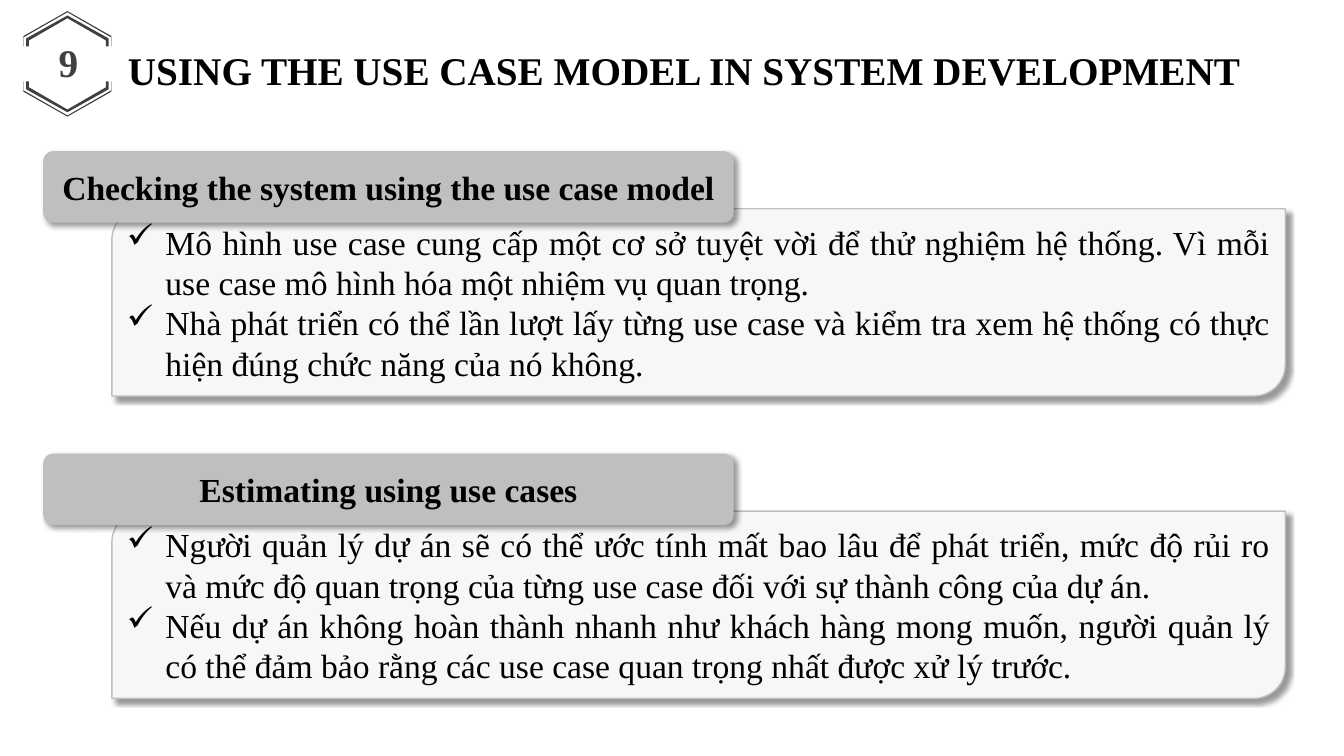
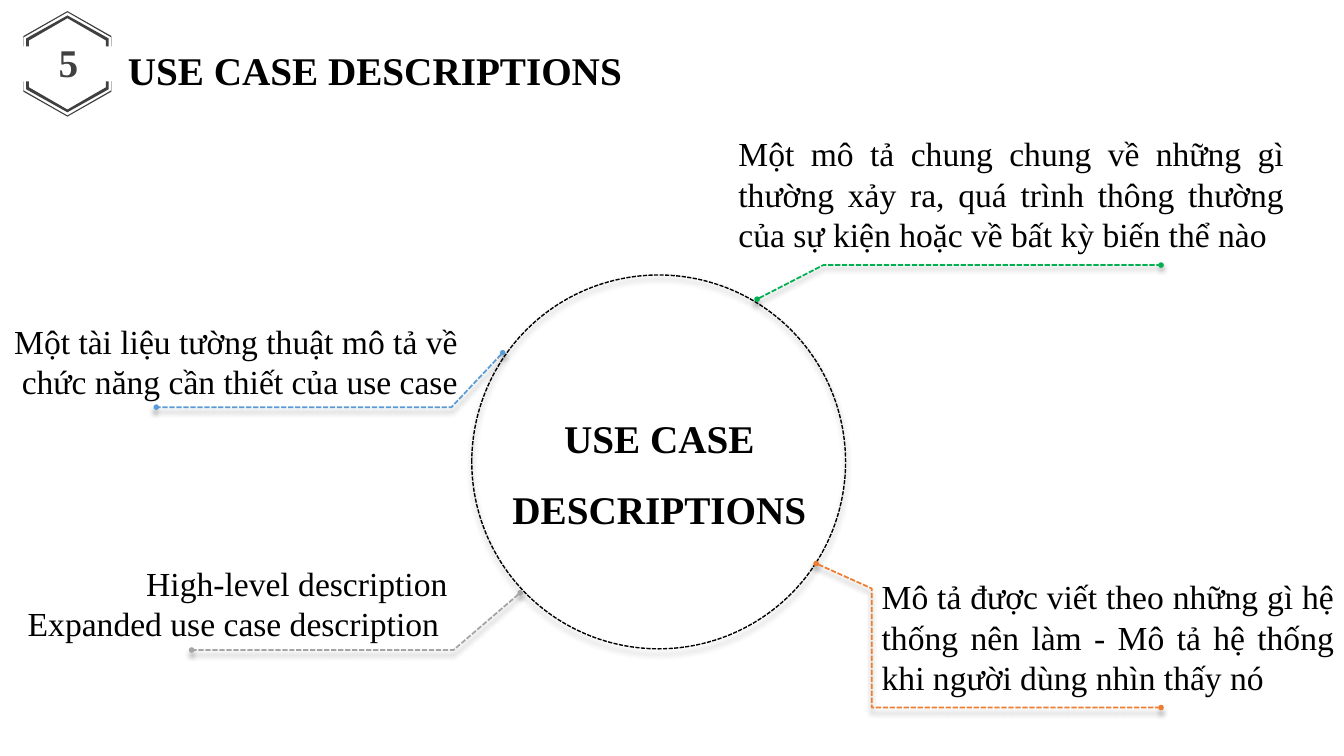
"""Build two slides on use case models and use case descriptions."""
from dataclasses import dataclass

import pptx
import pptx.dml.color
import pptx.enum.dml
import pptx.enum.shapes
import pptx.enum.text
import pptx.oxml
import pptx.oxml.ns
import pptx.util
from pptx.util import Cm

COLORS = {
    "text": "000000",
    "badge": "404040",
    "tab": "BFBFBF",
    "panel": "F7F7F7",
    "green": "00B050",
    "orange": "ED7D31",
    "grey": "A5A5A5",
    "blue": "5B9BD5",
}
FONT = "Times New Roman"
HEADING_SIZE = 28
BODY_SIZE = 24
TITLE_ONLY = 5
BADGE_CENTER = (1.7, 1.61)
SECTION_TOP = 3.81
SECTION_PITCH = 7.62
ALIGN = pptx.enum.text.PP_ALIGN
ANCHOR = pptx.enum.text.MSO_ANCHOR
SHAPE = pptx.enum.shapes.MSO_SHAPE

Point = tuple[float, float]


@dataclass(frozen=True)
class Box:
    left: float
    top: float
    width: float
    height: float

    def lengths(self) -> tuple[Cm, Cm, Cm, Cm]:
        return Cm(self.left), Cm(self.top), Cm(self.width), Cm(self.height)


@dataclass(frozen=True)
class Chevron:
    half_width: float
    apex: float
    shoulder: float


@dataclass(frozen=True)
class Section:
    heading: str
    bullets: tuple[str, ...]


@dataclass(frozen=True)
class Callout:
    color: str
    points: tuple[Point, ...]
    box: Box
    alignment: ALIGN
    lines: tuple[str, ...]


BADGE_BANDS = (
    (Chevron(1.11, 0.28, 0.91), Chevron(1.1, 0.31, 0.94)),
    (Chevron(1.04, 0.39, 0.97), Chevron(0.97, 0.46, 1.02)),
)
BADGE_FOOT = 1.17

SECTIONS = (
    Section("Checking the system using the use case model", (
        "Mô hình use case cung cấp một cơ sở tuyệt vời để thử nghiệm hệ thống. "
        "Vì mỗi use case mô hình hóa một nhiệm vụ quan trọng.",
        "Nhà phát triển có thể lần lượt lấy từng use case và kiểm tra xem hệ thống "
        "có thực hiện đúng chức năng của nó không.",
    )),
    Section("Estimating using use cases", (
        "Người quản lý dự án sẽ có thể ước tính mất bao lâu để phát triển, mức độ "
        "rủi ro và mức độ quan trọng của từng use case đối với sự thành công của dự án.",
        "Nếu dự án không hoàn thành nhanh như khách hàng mong muốn, người quản lý "
        "có thể đảm bảo rằng các use case quan trọng nhất được xử lý trước.",
    )),
)

CALLOUTS = (
    Callout("green", ((19.08, 7.54), (20.75, 6.68), (29.26, 6.68)),
            Box(18.36, 3.23, 14.25, 3.33), ALIGN.JUSTIFY,
            ("Một mô tả chung chung về những gì thường xảy ra, quá trình thông "
             "thường của sự kiện hoặc về bất kỳ biến thể nào",)),
    Callout("orange", ((20.57, 14.2), (21.97, 14.83), (21.97, 17.83), (29.26, 17.83)),
            Box(21.97, 14.4, 11.9, 3.33), ALIGN.JUSTIFY,
            ("Mô tả được viết theo những gì hệ thống nên làm - Mô tả hệ thống "
             "khi người dùng nhìn thấy nó",)),
    Callout("grey", ((13.11, 14.94), (11.43, 16.38), (4.83, 16.38)),
            Box(0.23, 14.05, 11.3, 2.31), ALIGN.RIGHT,
            ("High-level description", "Expanded use case description ")),
    Callout("blue", ((12.67, 8.89), (11.38, 10.26), (3.94, 10.26)),
            Box(0, 7.95, 11.79, 2.31), ALIGN.RIGHT,
            ("Một tài liệu tường thuật mô tả về chức năng cần thiết của use case",)),
)


def rgb(name: str) -> pptx.dml.color.RGBColor:
    return pptx.dml.color.RGBColor.from_string(COLORS[name])


def add_xml(parent, markup: str) -> None:
    namespace = pptx.oxml.ns.nsdecls("a")
    tag, rest = markup[1:].split(" ", 1)
    parent.append(pptx.oxml.parse_xml(f"<{tag} {namespace} {rest}"))


def add_shadow(shape, degrees: int) -> None:
    shape.shadow.inherit = False
    effects = shape._element.spPr.find(pptx.oxml.ns.qn("a:effectLst"))
    add_xml(effects, f'<a:outerShdw blurRad="{pptx.util.Pt(4)}" dist="{pptx.util.Pt(3)}" '
                     f'dir="{degrees * 60000}" algn="ctr" rotWithShape="0">'
                     '<a:srgbClr val="000000"><a:alpha val="40000"/></a:srgbClr></a:outerShdw>')


def set_dashed_line(shape, color: str, width: float) -> None:
    shape.fill.background()
    shape.line.color.rgb = rgb(color)
    shape.line.width = pptx.util.Pt(width)
    shape.line.dash_style = pptx.enum.dml.MSO_LINE.SQUARE_DOT
    add_shadow(shape, 90)


def write_text(shape, lines: tuple[str, ...], size: int, alignment: ALIGN,
               anchor: ANCHOR = ANCHOR.TOP, color: str = "text", bold: bool = False,
               wrap: bool = True, line_spacing: float = 1.0, bulleted: bool = False) -> None:
    frame = shape.text_frame
    frame.auto_size = pptx.enum.text.MSO_AUTO_SIZE.NONE
    frame.word_wrap = wrap
    frame.vertical_anchor = anchor
    frame.text = "\n".join(lines)
    for paragraph in frame.paragraphs:
        paragraph.alignment = alignment
        paragraph.line_spacing = line_spacing
        if bulleted:
            properties = paragraph._p.get_or_add_pPr()
            properties.set("marL", str(Cm(0.97)))
            properties.set("indent", str(Cm(-0.97)))
            add_xml(properties, '<a:buChar char="✓"/>')
        paragraph.font.name = FONT
        paragraph.font.size = pptx.util.Pt(size)
        paragraph.font.bold = bold
        paragraph.font.color.rgb = rgb(color)


def add_outline(slide, points: list[Point], close: bool):
    corners = [(Cm(x), Cm(y)) for x, y in points]
    builder = slide.shapes.build_freeform(*corners[0])
    builder.add_line_segments(corners[1:], close=close)
    return builder.convert_to_shape()


def chevron_points(chevron: Chevron) -> list[Point]:
    center = BADGE_CENTER[0]
    left, right = center - chevron.half_width, center + chevron.half_width
    return [(left, BADGE_FOOT), (left, chevron.shoulder), (center, chevron.apex),
            (right, chevron.shoulder), (right, BADGE_FOOT)]


def add_badge(slide, number: str) -> None:
    box = slide.shapes.add_textbox(*Box(0.53, 0.74, 2.39, 1.65).lengths())
    write_text(box, (number,), HEADING_SIZE, ALIGN.CENTER, ANCHOR.MIDDLE, "badge", True)
    for outer, inner in BADGE_BANDS:
        upper = chevron_points(outer) + chevron_points(inner)[::-1]
        lower = [(x, 2 * BADGE_CENTER[1] - y) for x, y in upper]
        for points in (upper, lower):
            band = add_outline(slide, points, True)
            band.fill.solid()
            band.fill.fore_color.rgb = rgb("badge")
            band.line.fill.background()
            band.shadow.inherit = False


def add_titled_slide(presentation, number: str, title: str):
    slide = presentation.slides.add_slide(presentation.slide_layouts[TITLE_ONLY])
    shape = slide.shapes.title
    shape.left, shape.top, shape.width, shape.height = Box(2.97, 0.44, 28.93, 2.06).lengths()
    write_text(shape, (title,), HEADING_SIZE, ALIGN.LEFT, bold=True, line_spacing=1.5)
    add_badge(slide, number)
    return slide


def add_section(slide, section: Section, top: float) -> None:
    panel = slide.shapes.add_shape(SHAPE.ROUND_2_DIAG_RECTANGLE,
                                   *Box(2.82, top + 1.45, 29.57, 4.72).lengths())
    panel.fill.solid()
    panel.fill.fore_color.rgb = rgb("panel")
    panel.line.color.rgb = rgb("tab")
    panel.line.width = pptx.util.Pt(1)
    add_shadow(panel, 45)
    frame = panel.text_frame
    frame.margin_left = frame.margin_right = Cm(0.15)
    frame.margin_top = frame.margin_bottom = Cm(0.08)
    write_text(panel, section.bullets, BODY_SIZE, ALIGN.JUSTIFY, ANCHOR.MIDDLE, bulleted=True)

    tab = slide.shapes.add_shape(SHAPE.ROUNDED_RECTANGLE, *Box(1.09, top, 17.4, 1.8).lengths())
    tab.adjustments[0] = 0.14
    tab.fill.solid()
    tab.fill.fore_color.rgb = rgb("tab")
    tab.line.fill.background()
    add_shadow(tab, 45)
    write_text(tab, (section.heading,), BODY_SIZE, ALIGN.CENTER, ANCHOR.MIDDLE,
               bold=True, wrap=False)


def add_callout(slide, callout: Callout) -> None:
    leader = add_outline(slide, list(callout.points), False)
    set_dashed_line(leader, callout.color, 1.25)
    line = leader.line._get_or_add_ln()
    for end in ("headEnd", "tailEnd"):
        add_xml(line, f'<a:{end} type="oval" w="sm" len="sm"/>')
    box = slide.shapes.add_textbox(*callout.box.lengths())
    write_text(box, callout.lines, BODY_SIZE, callout.alignment)


def build_development_slide(presentation) -> None:
    slide = add_titled_slide(presentation, "9", "USING THE USE CASE MODEL IN SYSTEM DEVELOPMENT")
    for index, section in enumerate(SECTIONS):
        add_section(slide, section, SECTION_TOP + index * SECTION_PITCH)


def build_descriptions_slide(presentation) -> None:
    topic = "USE CASE DESCRIPTIONS"
    slide = add_titled_slide(presentation, "5", topic)
    circle = slide.shapes.add_shape(SHAPE.OVAL, *Box(11.89, 6.93, 9.42, 9.42).lengths())
    set_dashed_line(circle, "text", 1)
    for callout in CALLOUTS:
        add_callout(slide, callout)
    label = slide.shapes.add_textbox(*Box(12.55, 9.73, 8.13, 3.84).lengths())
    write_text(label, (topic,), HEADING_SIZE, ALIGN.CENTER, bold=True, line_spacing=1.5)


def main() -> None:
    presentation = pptx.Presentation()
    presentation.slide_width = Cm(33.87)
    presentation.slide_height = Cm(19.05)
    build_development_slide(presentation)
    build_descriptions_slide(presentation)
    presentation.save("out.pptx")


if __name__ == "__main__":
    main()
